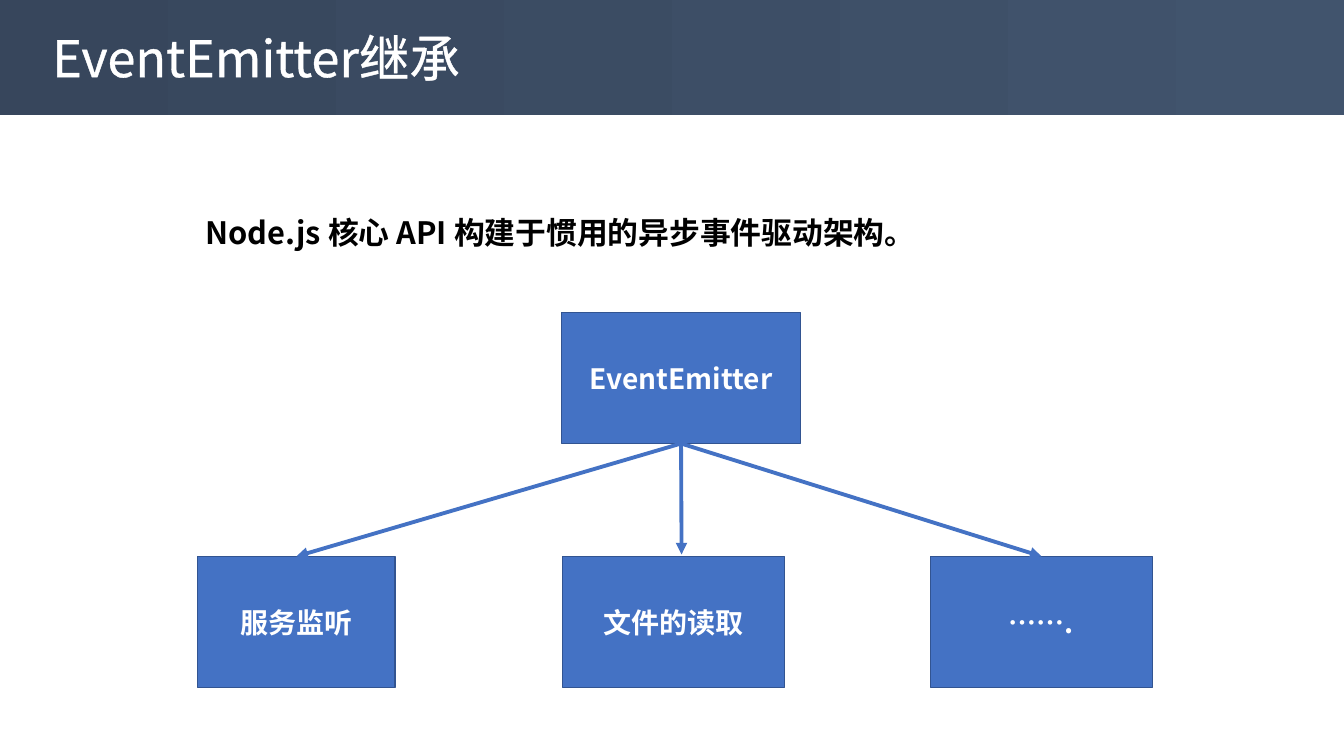
"""Build the slide that shows which parts inherit from EventEmitter."""
from dataclasses import dataclass
from typing import Optional

from lxml import etree
from pptx import Presentation
from pptx.dml.color import RGBColor
from pptx.enum.shapes import MSO_CONNECTOR, MSO_SHAPE
from pptx.enum.text import MSO_ANCHOR, MSO_AUTO_SIZE, PP_ALIGN
from pptx.oxml.ns import qn
from pptx.shapes.autoshape import Shape
from pptx.slide import Slide
from pptx.util import Emu, Pt

RECTANGLE = MSO_SHAPE.RECTANGLE
STRAIGHT = MSO_CONNECTOR.STRAIGHT
MIDDLE, TOP = MSO_ANCHOR.MIDDLE, MSO_ANCHOR.TOP
LEFT, CENTER = PP_ALIGN.LEFT, PP_ALIGN.CENTER
FIT_SHAPE = MSO_AUTO_SIZE.SHAPE_TO_FIT_TEXT

EMU_PER_PX = 9144
FONT = "Noto Sans CJK SC"
WHITE = RGBColor(0xFF, 0xFF, 0xFF)
BLACK = RGBColor(0x00, 0x00, 0x00)
BLUE = RGBColor(0x44, 0x72, 0xC4)
EDGE = RGBColor(0x32, 0x54, 0x91)
BANNER_COLORS = (RGBColor(0x37, 0x46, 0x5C), RGBColor(0x41, 0x54, 0x6D))
TOP_SIDE, BOTTOM_SIDE = 0, 2


@dataclass(frozen=True)
class Area:
    """A rectangle on the slide, in px."""
    left: int
    top: int
    width: int
    height: int

    def emu(self) -> tuple[Emu, Emu, Emu, Emu]:
        """Return left, top, width and height in EMU."""
        return px(self.left), px(self.top), px(self.width), px(self.height)


@dataclass(frozen=True)
class Node:
    """A labelled box and, if its arrow ends off centre, the arrow tip."""
    label: str
    area: Area
    tip: Optional[tuple[int, int]] = None


BANNER = Area(0, 0, 1333, 114)
TITLE = Area(42, 17, 782, 79)
STATEMENT = Area(194, 170, 724, 73)
PARENT = Node("EventEmitter", Area(557, 310, 237, 130))
CHILDREN = (
    Node("服务监听", Area(196, 552, 196, 130)),
    Node("文件的读取", Area(558, 552, 220, 130), tip=(676, 550)),
    Node("…….", Area(923, 552, 220, 130)),
)


def px(length: int) -> Emu:
    """Turn px into EMU."""
    return Emu(length * EMU_PER_PX)


def write_text(box: Shape, text: str, *, size: int, color: RGBColor,
               bold: bool = False, align: PP_ALIGN = LEFT,
               anchor: MSO_ANCHOR = MIDDLE, spacing: float = 1.0,
               outline: Optional[RGBColor] = None) -> None:
    """Write one formatted paragraph into a shape."""
    frame = box.text_frame
    frame.word_wrap = True
    frame.vertical_anchor = anchor
    para = frame.paragraphs[0]
    para.alignment = align
    para.line_spacing = spacing
    span = para.add_run()
    span.text = text
    span.font.size = Pt(size)
    span.font.bold = bold
    span.font.color.rgb = color
    span.font.name = FONT
    properties = span.font._element
    etree.SubElement(properties, qn("a:ea")).set("typeface", FONT)
    if outline is not None:
        line = etree.Element(qn("a:ln"), w=str(Pt(0.75)))
        fill = etree.SubElement(line, qn("a:solidFill"))
        etree.SubElement(fill, qn("a:srgbClr")).set("val", str(outline))
        properties.insert(0, line)


def add_banner(page: Slide) -> None:
    """Draw the gradient band behind the title."""
    banner = page.shapes.add_shape(RECTANGLE, *BANNER.emu())
    banner.shadow.inherit = False
    banner.line.fill.background()
    banner.fill.gradient()
    banner.fill.gradient_angle = 0
    for stop, color in zip(banner.fill.gradient_stops, BANNER_COLORS):
        stop.color.rgb = color


def add_node(page: Slide, node: Node) -> Shape:
    """Draw a labelled blue box."""
    box = page.shapes.add_shape(RECTANGLE, *node.area.emu())
    box.shadow.inherit = False
    box.fill.solid()
    box.fill.fore_color.rgb = BLUE
    box.line.color.rgb = EDGE
    box.line.width = Pt(1)
    write_text(box, node.label, size=20, color=WHITE, bold=True, align=CENTER)
    return box


def add_arrow(page: Slide, parent: Shape, child: Shape, node: Node) -> None:
    """Draw an arrow from the parent box down to a child box."""
    tip = node.tip or (0, 0)
    arrow = page.shapes.add_connector(STRAIGHT, 0, 0, px(tip[0]), px(tip[1]))
    arrow.begin_connect(parent, BOTTOM_SIDE)
    if node.tip is None:
        arrow.end_connect(child, TOP_SIDE)
    arrow.line.color.rgb = BLUE
    arrow.line.width = Pt(2.75)
    line = arrow.line._get_or_add_ln()
    etree.SubElement(line, qn("a:tailEnd")).set("type", "triangle")
    etree.SubElement(arrow._element.spPr, qn("a:effectLst"))


def main() -> None:
    """Build and save the deck."""
    deck = Presentation()
    deck.slide_width, deck.slide_height = px(1333), px(750)
    page = deck.slides.add_slide(deck.slide_layouts[6])
    add_banner(page)
    title = page.shapes.add_textbox(*TITLE.emu())
    write_text(title, "EventEmitter继承", size=36, color=WHITE, outline=WHITE)
    statement = page.shapes.add_textbox(*STATEMENT.emu())
    write_text(statement, "Node.js 核心 API 构建于惯用的异步事件驱动架构。",
               size=22, color=BLACK, bold=True, anchor=TOP, spacing=2.0)
    statement.text_frame.auto_size = FIT_SHAPE
    boxes = [add_node(page, node) for node in CHILDREN]
    parent = add_node(page, PARENT)
    for box, node in zip(boxes, CHILDREN):
        add_arrow(page, parent, box, node)
    deck.save("out.pptx")


if __name__ == "__main__":
    main()
